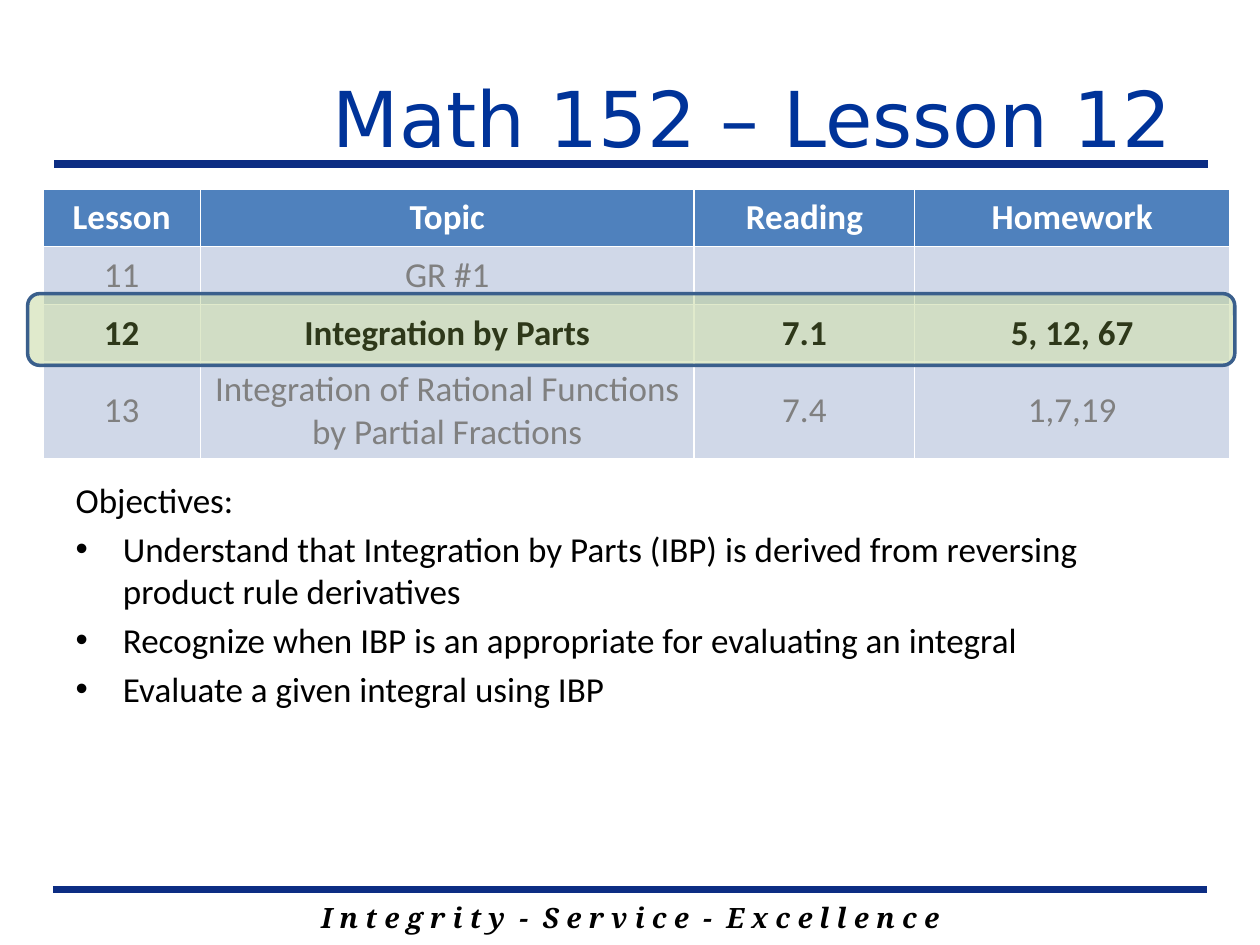
from lxml.etree import SubElement
from pptx import Presentation
from pptx.dml.color import RGBColor
from pptx.enum.shapes import MSO_CONNECTOR, MSO_SHAPE
from pptx.enum.text import MSO_ANCHOR, MSO_AUTO_SIZE, PP_ALIGN
from pptx.oxml.ns import qn
from pptx.util import Pt

BLACK = RGBColor(0x00, 0x00, 0x00)
WHITE = RGBColor(0xFF, 0xFF, 0xFF)
GRAY = RGBColor(0x80, 0x80, 0x80)
TITLE_BLUE = RGBColor(0x00, 0x33, 0x99)
RULE_BLUE = RGBColor(0x0C, 0x2D, 0x83)
HEADER_BLUE = RGBColor(0x4F, 0x81, 0xBD)
BAND_DARK = RGBColor(0xD0, 0xD8, 0xE8)
BAND_LIGHT = RGBColor(0xE9, 0xED, 0xF4)
HIGHLIGHT_GREEN = RGBColor(0x9B, 0xBB, 0x59)
HIGHLIGHT_EDGE = RGBColor(0x3A, 0x5F, 0x8C)

TITLE_FONT = {"name": "DejaVu Sans", "size": Pt(44), "color": TITLE_BLUE}
BODY_FONT = {"name": "Calibri", "size": Pt(20), "color": BLACK}
MOTTO_FONT = {"name": "Noto Serif", "size": Pt(16), "bold": True,
              "italic": True, "color": BLACK}
HEADER_FONT = {**BODY_FONT, "bold": True, "color": WHITE}
OTHER_FONT = {**BODY_FONT, "bold": False, "color": GRAY}
CURRENT_FONT = {**BODY_FONT, "bold": True}

COLUMN_WIDTHS = (90, 282.2, 126, 180)
ROW_HEIGHTS = (33, 33, 33, 55)
SCHEDULE = (
    (("Lesson", "Topic", "Reading", "Homework"), HEADER_FONT, HEADER_BLUE),
    (("11", "GR #1", "", ""), OTHER_FONT, BAND_DARK),
    (("12", "Integration by Parts", "7.1", "5, 12, 67"), CURRENT_FONT, BAND_LIGHT),
    (("13", "Integration of Rational Functions by Partial Fractions", "7.4",
      "1,7,19"), OTHER_FONT, BAND_DARK),
)
OBJECTIVES = (
    "Understand that Integration by Parts (IBP) is derived from reversing "
    "product rule derivatives",
    "Recognize when IBP is an appropriate for evaluating an integral",
    "Evaluate a given integral using IBP",
)


def set_attributes(target, values):
    """Set every attribute named in a dict of values."""
    for name, value in values.items():
        setattr(target, name, value)


def place(shape, box):
    """Move a shape to a box of left, top, width and height in points."""
    names = ("left", "top", "width", "height")
    set_attributes(shape, dict(zip(names, map(Pt, box))))


def write(paragraph, text, font, alignment=PP_ALIGN.LEFT):
    """Add one formatted run to a paragraph."""
    paragraph.alignment = alignment
    run = paragraph.add_run()
    run.text = text
    set_attributes(run.font, {key: value for key, value in font.items()
                              if key != "color"})
    run.font.color.rgb = font["color"]


def add_rule(slide, left, top, width):
    """Draw one thick horizontal rule."""
    rule = slide.shapes.add_connector(
        MSO_CONNECTOR.STRAIGHT, Pt(left), Pt(top), Pt(left + width), Pt(top))
    rule.line.color.rgb = RULE_BLUE
    rule.line.width = Pt(4.5)
    SubElement(rule._element.spPr, qn("a:effectLst"))


def add_footer(slide, box):
    """Draw the footer rule and the motto below it."""
    left, top, width, height = box
    add_rule(slide, left, top, width)
    motto = slide.shapes.add_textbox(
        Pt(left + 72), Pt(top + 3), Pt(width - 143.5), Pt(height - 3))
    motto.text_frame.word_wrap = True
    write(motto.text_frame.paragraphs[0],
          "I n t e g r i t y  -  S e r v i c e  -  E x c e l l e n c e",
          MOTTO_FONT, PP_ALIGN.CENTER)


def add_title(slide, box):
    """Fill the title placeholder and rule it off."""
    left, top, width, height = box
    add_rule(slide, 31, top + height - 18, 659.5)
    title = slide.shapes.title
    place(title, box)
    set_attributes(title.text_frame, {
        "auto_size": MSO_AUTO_SIZE.NONE, "vertical_anchor": MSO_ANCHOR.MIDDLE})
    write(title.text_frame.paragraphs[0], "Math 152 – Lesson 12 ",
          TITLE_FONT, PP_ALIGN.RIGHT)


def add_objectives(slide, box):
    """Fill the body placeholder with a lead line and bulleted objectives."""
    body = slide.placeholders[1]
    place(body, box)
    frame = body.text_frame
    frame.auto_size = MSO_AUTO_SIZE.NONE
    for index, text in enumerate(("Objectives:",) + OBJECTIVES):
        paragraph = frame.add_paragraph() if index else frame.paragraphs[0]
        write(paragraph, text, BODY_FONT)
        paragraph.space_before = Pt(4)
        properties = paragraph._p.get_or_add_pPr()
        indent = Pt(27) if index else 0
        properties.set("marL", str(indent))
        properties.set("indent", str(-indent))
        if index:
            SubElement(properties, qn("a:buFont")).set("typeface", "Arial")
            SubElement(properties, qn("a:buChar")).set("char", "•")
        else:
            SubElement(properties, qn("a:buNone"))


def add_schedule(slide, left, top):
    """Draw the lesson table and highlight the current lesson."""
    width = sum(COLUMN_WIDTHS)
    table = slide.shapes.add_table(
        len(SCHEDULE), len(COLUMN_WIDTHS), Pt(left), Pt(top),
        Pt(width), Pt(sum(ROW_HEIGHTS))).table
    for column, column_width in zip(table.columns, COLUMN_WIDTHS):
        column.width = Pt(column_width)
    for row, height, (texts, font, fill) in zip(table.rows, ROW_HEIGHTS, SCHEDULE):
        row.height = Pt(height)
        for cell, text in zip(row.cells, texts):
            cell.fill.solid()
            cell.fill.fore_color.rgb = fill
            cell.vertical_anchor = MSO_ANCHOR.MIDDLE
            if text:
                write(cell.text_frame.paragraphs[0], text, font, PP_ALIGN.CENTER)
    add_highlight(slide, (left - 8.7, top + 59.8, width + 11.6, 41))


def add_highlight(slide, box):
    """Lay a translucent rounded frame over a box."""
    frame = slide.shapes.add_shape(MSO_SHAPE.ROUNDED_RECTANGLE, *map(Pt, box))
    frame.shadow.inherit = False
    frame.fill.solid()
    frame.fill.fore_color.rgb = HIGHLIGHT_GREEN
    color = frame._element.spPr.find(qn("a:solidFill"))[0]
    SubElement(color, qn("a:alpha")).set("val", "30000")
    frame.line.color.rgb = HIGHLIGHT_EDGE
    frame.line.width = Pt(2)


def build_lesson_slide(presentation):
    """Build the lesson overview slide."""
    slide = presentation.slides.add_slide(presentation.slide_layouts[1])
    add_footer(slide, (30.2, 508.3, 659.5, 29.6))
    add_title(slide, (129.6, 21.6, 561.6, 90))
    add_objectives(slide, (36, 270, 648, 212.4))
    add_schedule(slide, 24.5, 108)


presentation = Presentation()
set_attributes(presentation, {"slide_width": Pt(720), "slide_height": Pt(540)})
build_lesson_slide(presentation)
presentation.save("out.pptx")
